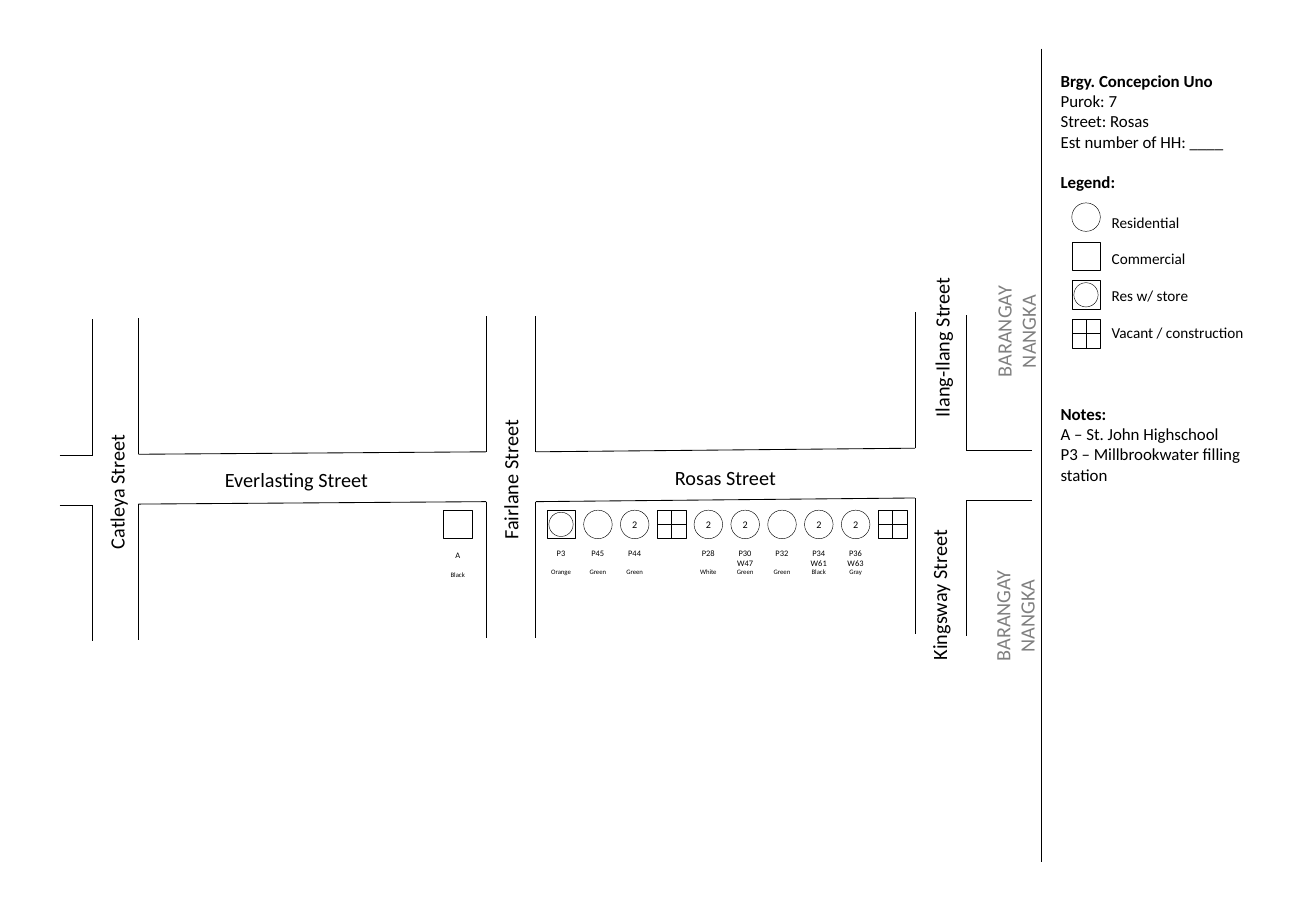
from pptx import Presentation
from pptx.dml.color import RGBColor
from pptx.enum.shapes import MSO_CONNECTOR, MSO_SHAPE
from pptx.enum.text import MSO_ANCHOR, PP_ALIGN
from pptx.oxml.ns import qn
from pptx.util import Inches, Pt
from lxml.etree import SubElement

WIDTH, HEIGHT = 10.83, 7.5
BLACK, GRAY = "000000", "808080"
FONT = "Calibri"

# Side panel: text, size, bold, space before in points, indent in inches
PANEL = [
    ("Brgy. Concepcion Uno", 10, True, 0, 0),
    ("Purok: 7", 10, False, 0, 0),
    ("Street: Rosas", 10, False, 0, 0),
    ("Est number of HH: ____", 10, False, 0, 0),
    ("Legend:", 10, True, 12.2, 0),
    ("Residential", 9, False, 12.2, 0.42),
    ("Commercial", 9, False, 11, 0.42),
    ("Res w/ store", 9, False, 11, 0.42),
    ("Vacant / construction", 9, False, 11, 0.42),
    ("Notes:", 10, True, 36.6, 0),
    ("A – St. John Highschool", 10, False, 0, 0),
    ("P3 – Millbrookwater filling station", 10, False, 0, 0),
]
PANEL_LEFT, PANEL_TOP = 8.63, 0.53
DIVIDER = 8.57

LEGEND = ["home", "shop", "home with shop", "vacant"]
LEGEND_LEFT, LEGEND_TOP, LEGEND_STEP = 8.82, 1.67, 0.32

# Street names: text, centre x, centre y, rotation, colour
STREETS = [
    ("Everlasting Street", 2.44, 3.95, 0, BLACK),
    ("Rosas Street", 5.97, 3.93, 0, BLACK),
    ("Catleya Street", 0.96, 4.05, 270, BLACK),
    ("Fairlane Street", 4.2, 3.95, 270, BLACK),
    ("Ilang-Ilang Street", 7.75, 2.86, 270, BLACK),
    ("Kingsway Street", 7.73, 4.9, 270, BLACK),
    ("BARANGAY NANGKA", 8.26, 2.73, 270, GRAY),
    ("BARANGAY NANGKA", 8.25, 5.07, 270, GRAY),
]

# Block corners on the north side of the road, west to east
CORNERS = [(0.76, 3.75), (1.14, 3.74), (4, 3.72),
           (4.41, 3.72), (7.53, 3.69), (7.95, 3.71)]
ROAD_WIDTH, BLOCK_DEPTH = 0.41, 1.12
MAP_LEFT, MAP_RIGHT = 0.49, 8.49

# Lots on Rosas Street: kind, households, codes, gate colour
LOTS = [
    ("home with shop", "", ["P3"], "Orange"),
    ("home", "", ["P45"], "Green"),
    ("home", "2", ["P44"], "Green"),
    ("vacant", "", [], ""),
    ("home", "2", ["P28"], "White"),
    ("home", "2", ["P30", "W47"], "Green"),
    ("home", "", ["P32"], "Green"),
    ("home", "2", ["P34", "W61"], "Black"),
    ("home", "2", ["P36", "W63"], "Gray"),
    ("vacant", "", [], ""),
]
LOT_LEFT, LOT_TOP, LOT_STEP = 4.5, 4.2, 0.303
SCHOOL_LEFT = 3.65
SYMBOL, INNER = 0.235, 0.2

deck = Presentation()
deck.slide_width, deck.slide_height = Inches(WIDTH), Inches(HEIGHT)
slide = deck.slides.add_slide(deck.slide_layouts[6])


def color(hex_value):
    return RGBColor.from_string(hex_value)


def style(paragraph, size, hex_value=BLACK, bold=False):
    for run in paragraph.runs:
        run.font.name, run.font.size, run.font.bold = FONT, Pt(size), bold
        run.font.color.rgb = color(hex_value)


def line(x1, y1, x2, y2, weight=0.5):
    edge = slide.shapes.add_connector(
        MSO_CONNECTOR.STRAIGHT, Inches(x1), Inches(y1), Inches(x2), Inches(y2))
    edge.line.color.rgb, edge.line.width = color(BLACK), Pt(weight)
    SubElement(edge._element.spPr, qn("a:effectLst"))
    return edge


def outline(preset, left, top, size):
    shape = slide.shapes.add_shape(
        preset, Inches(left), Inches(top), Inches(size), Inches(size))
    shape.shadow.inherit = False
    shape.fill.background()
    shape.line.color.rgb, shape.line.width = color(BLACK), Pt(0.25)
    return shape


def symbol(kind, left, top, households=""):
    """Draw the legend symbol of one kind of lot."""
    preset = MSO_SHAPE.OVAL if kind == "home" else MSO_SHAPE.RECTANGLE
    lot = outline(preset, left, top, SYMBOL)
    if kind == "home with shop":
        inset = (SYMBOL - INNER) / 2
        outline(MSO_SHAPE.OVAL, left + inset, top + inset, INNER)
    if kind == "vacant":
        for start, end in [(0, 2), (3, 1)]:
            bar = line(left, top, left, top, 0.25)
            bar.begin_connect(lot, start)
            bar.end_connect(lot, end)
    if households:
        frame = lot.text_frame
        frame.margin_left = frame.margin_right = 0
        frame.margin_top = frame.margin_bottom = 0
        frame.vertical_anchor = MSO_ANCHOR.MIDDLE
        frame.text = households
        frame.paragraphs[0].alignment = PP_ALIGN.CENTER
        style(frame.paragraphs[0], 6)


def centred_box(lines, center_x, top, width, height):
    box = slide.shapes.add_textbox(
        Inches(center_x - width / 2), Inches(top), Inches(width), Inches(height))
    box.text_frame.word_wrap = False
    box.text_frame.text = "\n".join(lines)
    for paragraph in box.text_frame.paragraphs:
        paragraph.alignment = PP_ALIGN.CENTER
    return box


def lot_label(codes, gate, left, top):
    """Write the codes, then the gate colour on the third line."""
    box = centred_box(codes + [gate], left + SYMBOL / 2, top, 0.36, 0.34)
    *code_lines, gate_line = box.text_frame.paragraphs
    for code_line in code_lines:
        style(code_line, 5)
    style(gate_line, 4)
    if len(codes) == 1:
        gate_line.space_before = Pt(6.1)


def draw_panel():
    line(DIVIDER, 0.4, DIVIDER, HEIGHT - 0.4, 0.25)
    box = slide.shapes.add_textbox(
        Inches(PANEL_LEFT), Inches(PANEL_TOP), Inches(1.82), Inches(3.69))
    frame = box.text_frame
    frame.word_wrap = True
    frame.text = "\n".join(entry[0] for entry in PANEL)
    for paragraph, (_, size, bold, before, indent) in zip(frame.paragraphs, PANEL):
        if indent:
            paragraph._p.get_or_add_pPr().set("marL", str(Inches(indent)))
        if before:
            paragraph.space_before = Pt(before)
        style(paragraph, size, bold=bold)
    for row, kind in enumerate(LEGEND):
        symbol(kind, LEGEND_LEFT, LEGEND_TOP + row * LEGEND_STEP)


def draw_streets():
    for x, y in CORNERS:
        south = y + ROAD_WIDTH
        line(x, y, x, y - BLOCK_DEPTH)
        line(x, south, x, south + BLOCK_DEPTH)
    ends = [(MAP_LEFT, CORNERS[0][1]), *CORNERS, (MAP_RIGHT, CORNERS[-1][1])]
    for (x1, y1), (x2, y2) in zip(ends[::2], ends[1::2]):
        for shift in (0, ROAD_WIDTH):
            line(x1, y1 + shift, x2, y2 + shift)
    for name, x, y, rotation, hex_value in STREETS:
        width = 0.2 + 0.08 * len(name)
        box = centred_box([name], x, y - 0.15, width, 0.3)
        box.rotation = rotation
        style(box.text_frame.paragraphs[0], 12, hex_value)


def draw_lots():
    symbol("shop", SCHOOL_LEFT, LOT_TOP)
    lot_label(["A"], "Black", SCHOOL_LEFT, LOT_TOP + 0.28)
    for column, (kind, households, codes, gate) in enumerate(LOTS):
        left = LOT_LEFT + column * LOT_STEP
        symbol(kind, left, LOT_TOP, households)
        if codes:
            lot_label(codes, gate, left, LOT_TOP + 0.26)


draw_panel()
draw_streets()
draw_lots()
deck.save("out.pptx")
